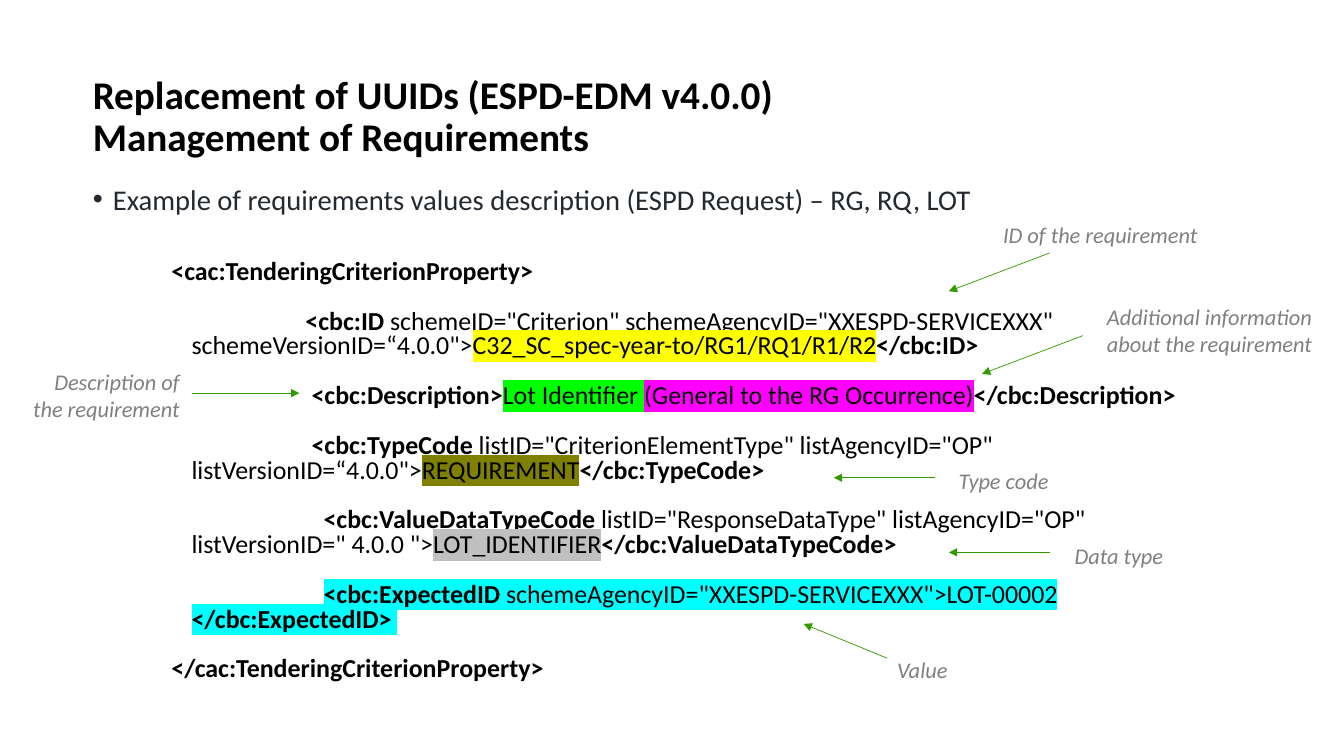
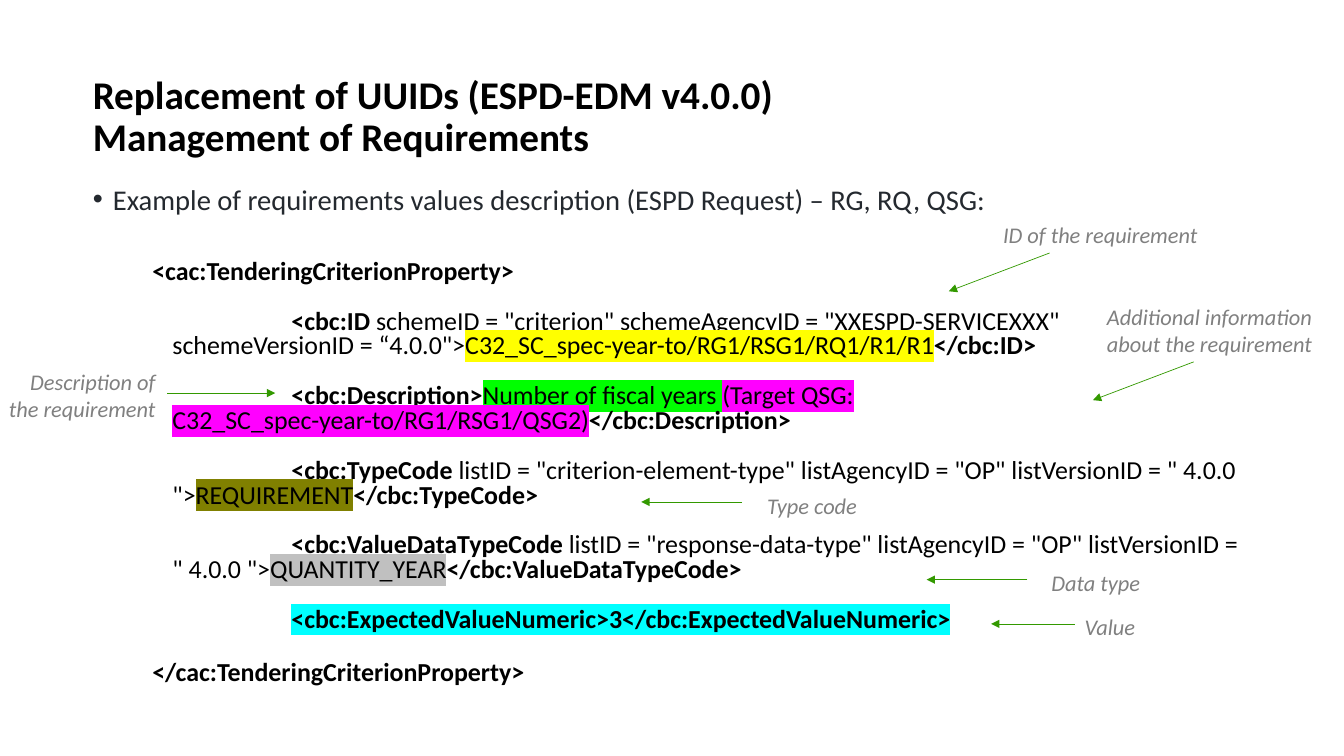
from lxml.etree import SubElement
from pptx import Presentation
from pptx.dml.color import RGBColor
from pptx.enum.shapes import MSO_CONNECTOR
from pptx.enum.text import MSO_ANCHOR, MSO_AUTO_SIZE, PP_ALIGN
from pptx.oxml.ns import qn
from pptx.util import Pt

PX = 9144
FONT = "Calibri"
BLACK = RGBColor(0x00, 0x00, 0x00)
INK = RGBColor(0x24, 0x29, 0x2F)
GRAY = RGBColor(0x80, 0x80, 0x80)
GREEN = RGBColor(0x33, 0x99, 0x00)
YELLOW = RGBColor(0xFF, 0xFF, 0x00)
LIME = RGBColor(0x00, 0xFF, 0x00)
MAGENTA = RGBColor(0xFF, 0x00, 0xFF)
OLIVE = RGBColor(0x80, 0x80, 0x00)
SILVER = RGBColor(0xC0, 0xC0, 0xC0)
CYAN = RGBColor(0x00, 0xFF, 0xFF)

TITLE = ["Replacement of UUIDs (ESPD-EDM v4.0.0)", "Management of Requirements"]
ROOT = "cac:TenderingCriterionProperty"
HANGING = -20

LABELS = {
    "ID of the requirement": (298, 37, PP_ALIGN.LEFT),
    "Additional information about the requirement": (229, 64, PP_ALIGN.LEFT),
    "Description of the requirement": (172, 64, PP_ALIGN.RIGHT),
    "Type code": (229, 37, PP_ALIGN.LEFT),
    "Data type": (229, 37, PP_ALIGN.LEFT),
    "Value": (155, 38, PP_ALIGN.LEFT),
}


def element(name, attributes, *values):
    if attributes:
        runs = [(f"<{name} ", True, None), (f"{attributes}>", False, None)]
    else:
        runs = [(f"<{name}>", True, None)]
    runs += [(text, False, color) for text, color in values]
    return runs + [(f"</{name}>", True, None)]


class Deck:
    def __init__(self):
        self.prs = Presentation()
        self.prs.slide_width = 1333 * PX
        self.prs.slide_height = 750 * PX
        self.s = None

    def place(self, sp, box):
        sp.left, sp.top, sp.width, sp.height = (v * PX for v in box)

    def frame(self, sp, insets, anchor=MSO_ANCHOR.TOP, fit=MSO_AUTO_SIZE.NONE):
        tf = sp.text_frame
        tf.word_wrap = True
        tf.auto_size = fit
        tf.vertical_anchor = anchor
        tf.margin_left, tf.margin_top, tf.margin_right, tf.margin_bottom = (
            v * PX for v in insets)
        return tf

    def run(self, p, text, size, color, bold=False, italic=False, highlight=None):
        r = p.add_run()
        r.text = text
        font = r.font
        font.size = Pt(size)
        font.bold = bold
        font.italic = italic
        font.color.rgb = color
        if highlight is not None:
            mark = SubElement(r._r.get_or_add_rPr(), qn("a:highlight"))
            SubElement(mark, qn("a:srgbClr")).set("val", str(highlight))
        font.name = FONT

    def paragraph_style(self, p, left, indent, before=0, after=0, spacing=1.0,
                        align=PP_ALIGN.LEFT, bullet=None):
        pPr = p._p.get_or_add_pPr()
        pPr.set("marL", str(left * PX))
        pPr.set("indent", str(indent * PX))
        if bullet:
            SubElement(pPr, qn("a:buChar")).set("char", bullet)
        else:
            SubElement(pPr, qn("a:buNone"))
        p.alignment = align
        p.line_spacing = spacing
        p.space_before = Pt(before)
        p.space_after = Pt(after)

    def slide(self):
        self.s = self.prs.slides.add_slide(self.prs.slide_layouts[1])

    def title(self, lines):
        sp = self.s.shapes.title
        self.place(sp, (92, 14, 1225, 145))
        p = self.frame(sp, (0, 5, 0, 0), MSO_ANCHOR.BOTTOM).paragraphs[0]
        p.alignment = PP_ALIGN.LEFT
        p.line_spacing = 0.9
        for i, line in enumerate(lines):
            if i:
                p.add_line_break()
            self.run(p, line, 28, BLACK, bold=True)

    def body(self, heading, level, left, elements, closing_gap):
        sp = self.s.placeholders[1]
        self.place(sp, (92, 175, 1148, 521))
        tf = self.frame(sp, (0, 5, 10, 5))
        p = tf.paragraphs[0]
        self.paragraph_style(p, 20, HANGING, after=6, align=PP_ALIGN.JUSTIFY, bullet="•")
        self.run(p, heading, 20.4, INK)
        opening = (HANGING, [(f"<{ROOT}>", True, None)])
        closing = (HANGING, [(f"</{ROOT}>", True, None)])
        gaps = [26] + [17.7] * len(elements) + [closing_gap]
        for (indent, runs), gap in zip([opening, *elements, closing], gaps):
            p = tf.add_paragraph()
            p.level = level
            self.paragraph_style(p, left, indent, before=gap, spacing=0.8)
            for text, bold, highlight in runs:
                self.run(p, text, 18.5, BLACK, bold=bold, highlight=highlight)

    def label(self, text, x, y):
        width, height, align = LABELS[text]
        sp = self.s.shapes.add_textbox(x * PX, y * PX, width * PX, height * PX)
        tf = self.frame(sp, (10, 5, 10, 5), fit=MSO_AUTO_SIZE.SHAPE_TO_FIT_TEXT)
        p = tf.paragraphs[0]
        p.alignment = align
        self.run(p, text, 16, GRAY, italic=True)

    def arrow(self, start, end):
        line = self.s.shapes.add_connector(
            MSO_CONNECTOR.STRAIGHT, *(v * PX for v in (*start, *end)))
        line.line.color.rgb = GREEN
        line.line.width = Pt(0.5)
        spPr = line._element.spPr
        SubElement(spPr.find(qn("a:ln")), qn("a:tailEnd")).set("type", "triangle")
        SubElement(spPr, qn("a:effectLst"))


SLIDES = [
    {
        "heading": "Example of requirements values description (ESPD Request) – RG, RQ, LOT",
        "level": 4,
        "left": 98,
        "closing_gap": 17.7,
        "elements": [
            (113, element(
                "cbc:ID",
                'schemeID="Criterion" schemeAgencyID="XXESPD-SERVICEXXX" schemeVersionID=“4.0.0"',
                ("C32_SC_spec-year-to/RG1/RQ1/R1/R2", YELLOW))),
            (119, element(
                "cbc:Description", "",
                ("Lot Identifier ", LIME), ("(General to the RG Occurrence)", MAGENTA))),
            (119, element(
                "cbc:TypeCode",
                'listID="CriterionElementType" listAgencyID="OP" listVersionID=“4.0.0"',
                ("REQUIREMENT", OLIVE))),
            (131, element(
                "cbc:ValueDataTypeCode",
                'listID="ResponseDataType" listAgencyID="OP" listVersionID=" 4.0.0 "',
                ("LOT_IDENTIFIER", SILVER))),
            (131, [
                ("<cbc:ExpectedID", True, CYAN),
                (' schemeAgencyID="XXESPD-SERVICEXXX">LOT-00002 ', False, CYAN),
                ("</cbc:ExpectedID> ", True, CYAN)]),
        ],
        "callouts": [
            ("Value", (880, 646), (880, 653), (797, 619)),
            ("Type code", (941, 459), (927, 474), (827, 474)),
            ("ID of the requirement", (985, 214), (1041, 251), (941, 289)),
            ("Data type", (1056, 533), (1041, 548), (941, 548)),
            ("Additional information about the requirement",
             (1088, 296), (1074, 333), (974, 371)),
            ("Description of the requirement", (16, 360), (190, 390), (297, 390)),
        ],
    },
    {
        "heading": "Example of requirements values description (ESPD Request) – RG, RQ, QSG:",
        "level": 3,
        "left": 79,
        "closing_gap": 20.5,
        "elements": [(118, runs) for runs in (
            element(
                "cbc:ID",
                'schemeID = "criterion" schemeAgencyID = "XXESPD-SERVICEXXX" '
                'schemeVersionID = “4.0.0"',
                ("C32_SC_spec-year-to/RG1/RSG1/RQ1/R1/R1", YELLOW)),
            element(
                "cbc:Description", "",
                ("Number of fiscal years ", LIME),
                ("(Target QSG: C32_SC_spec-year-to/RG1/RSG1/QSG2)", MAGENTA)),
            element(
                "cbc:TypeCode",
                'listID = "criterion-element-type" listAgencyID = "OP" listVersionID = " 4.0.0 "',
                ("REQUIREMENT", OLIVE)),
            element(
                "cbc:ValueDataTypeCode",
                'listID = "response-data-type" listAgencyID = "OP" listVersionID = " 4.0.0 "',
                ("QUANTITY_YEAR", SILVER)),
            [("<cbc:ExpectedValueNumeric>3</cbc:ExpectedValueNumeric>", True, CYAN)],
        )],
        "callouts": [
            ("Value", (1066, 603), (1066, 619), (983, 619)),
            ("Type code", (751, 483), (736, 498), (636, 498)),
            ("ID of the requirement", (985, 214), (1041, 251), (941, 289)),
            ("Data type", (1033, 560), (1019, 575), (919, 575)),
            ("Additional information about the requirement",
             (1088, 296), (1184, 359), (1084, 397)),
            ("Description of the requirement", (-8, 360), (166, 390), (273, 390)),
        ],
    },
]


def main():
    deck = Deck()
    for content in SLIDES:
        deck.slide()
        deck.title(TITLE)
        deck.body(content["heading"], content["level"], content["left"],
                  content["elements"], content["closing_gap"])
        for text, corner, start, end in content["callouts"]:
            deck.label(text, *corner)
            deck.arrow(start, end)
    deck.prs.save("out.pptx")


if __name__ == "__main__":
    main()
